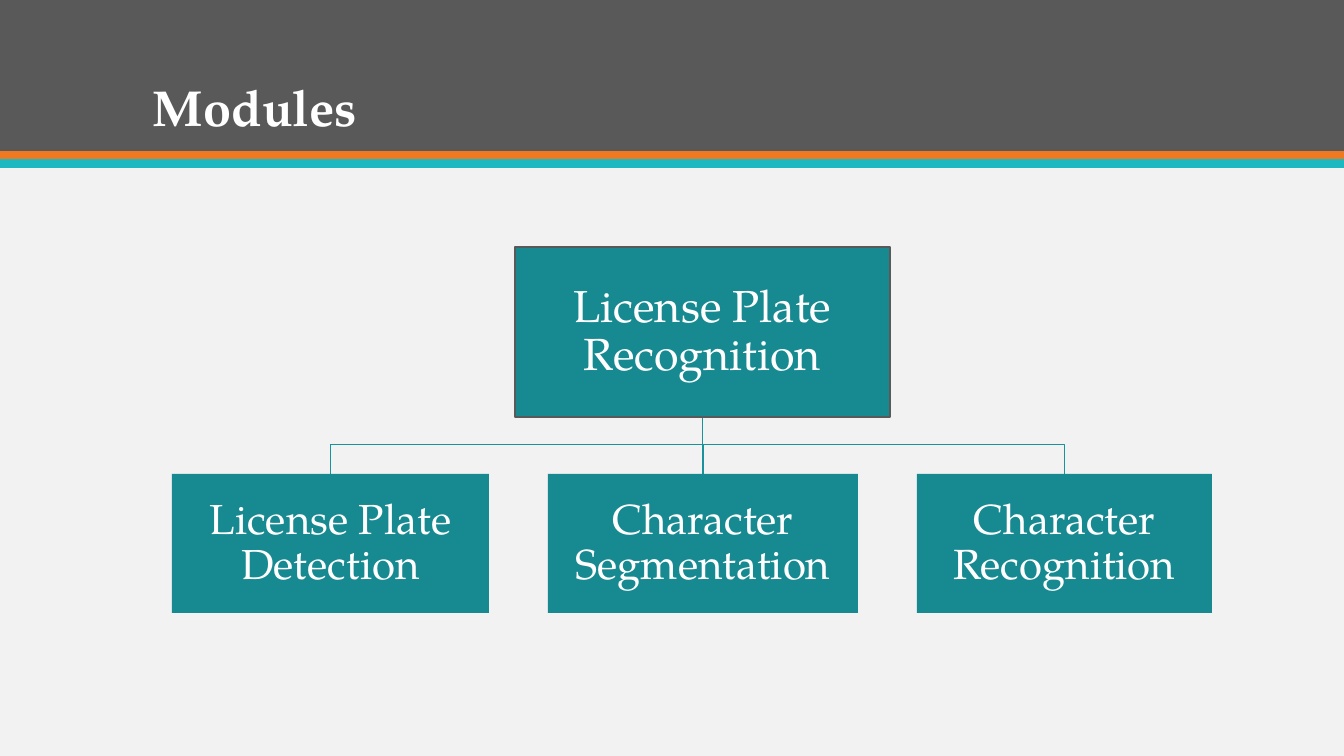
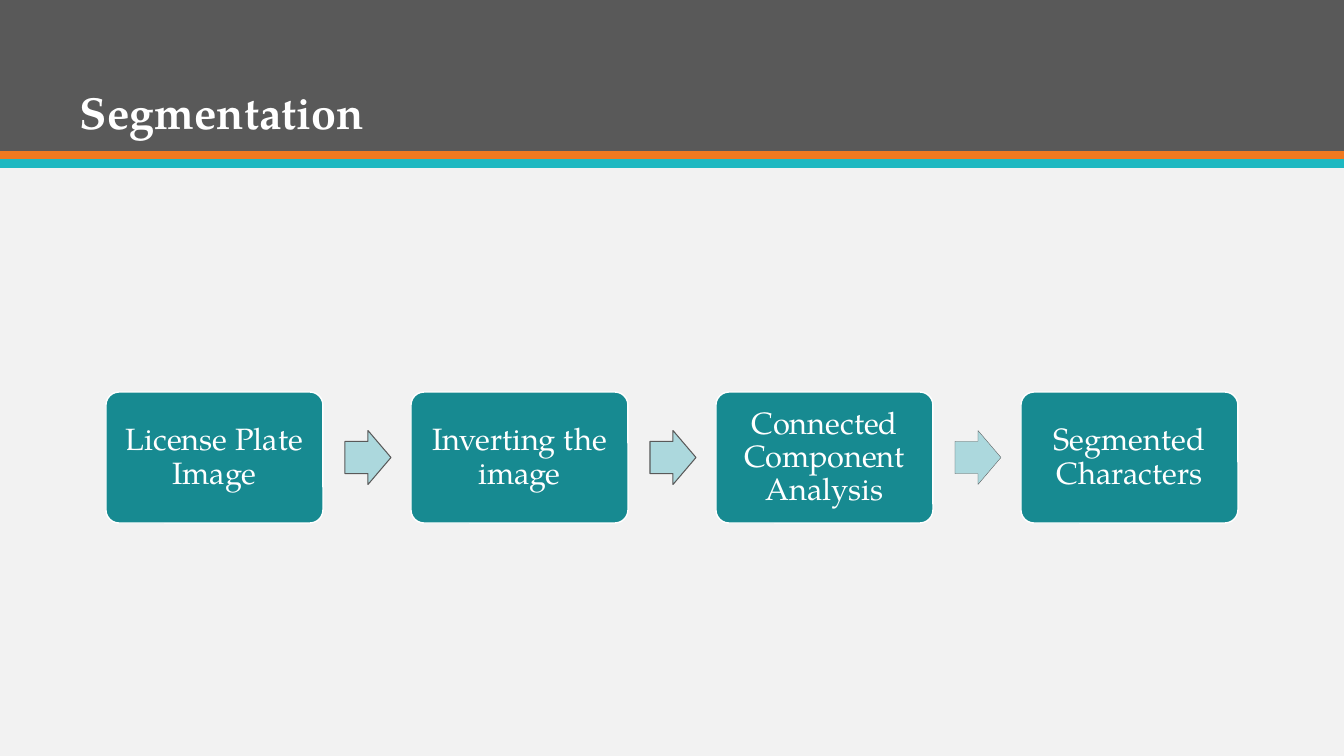
"""Build two slides: the module tree and the segmentation flow."""
import pptx
import pptx.dml.color
import pptx.enum.shapes
import pptx.enum.text
import pptx.util

SHAPES = pptx.enum.shapes.MSO_SHAPE
ANCHOR = pptx.enum.text.MSO_ANCHOR
ALIGN = pptx.enum.text.PP_ALIGN

WIDTH, HEIGHT = 1344, 756
EMU_PER_PX = 12192000 / WIDTH
FONT = "TeX Gyre Pagella"
GREY, ORANGE, CYAN = "595959", "EF7920", "1EB8C1"
TEAL, LINE_TEAL, PALE_TEAL = "178A91", "18939B", "ACD8DD"
WHITE, PAPER = "FFFFFF", "F2F2F2"

BANDS = [(0, 151, GREY), (151, 9, ORANGE), (159, 9, CYAN)]

ROOT = ("License Plate Recognition", (515, 247, 375, 170))
MODULES = [
    ("License Plate Detection", 317),
    ("Character Segmentation", 310),
    ("Character Recognition", 295),
]
MODULE_LEFT, MODULE_TOP, MODULE_HEIGHT, MODULE_GAP = 172, 474, 139, 59

STEPS = [
    "License Plate Image",
    "Inverting the image",
    "Connected Component Analysis",
    "Segmented Characters",
]
STEP_LEFT, STEP_TOP, STEP_WIDTH, STEP_HEIGHT, STEP_PITCH = 106, 392, 217, 131, 305
ARROW_OFFSET, ARROW_WIDTH, ARROW_HEIGHT = 239, 46, 54
ARROW_LINES = [0.75, 0.75, 0.25]


def px(value):
    return pptx.util.Emu(round(value * EMU_PER_PX))


def rgb(value):
    return pptx.dml.color.RGBColor.from_string(value)


def add_box(slide, kind, box, fill, line=None, line_width=1):
    shape = slide.shapes.add_shape(kind, *map(px, box))
    shape.shadow.inherit = False
    shape.fill.solid()
    shape.fill.fore_color.rgb = rgb(fill)
    if line:
        shape.line.color.rgb = rgb(line)
        shape.line.width = pptx.util.Pt(line_width)
    else:
        shape.line.fill.background()
    return shape


def set_text(shape, text, size, align, anchor, inset=None, bold=False):
    frame = shape.text_frame
    frame.word_wrap = True
    frame.vertical_anchor = anchor
    if inset is not None:
        frame.margin_left = frame.margin_right = px(inset)
        frame.margin_top = frame.margin_bottom = px(inset)
    paragraph = frame.paragraphs[0]
    paragraph.text = text
    paragraph.alignment = align
    paragraph.line_spacing = 0.9
    paragraph.font.name = FONT
    paragraph.font.size = pptx.util.Pt(size)
    paragraph.font.bold = bold
    paragraph.font.color.rgb = rgb(WHITE)


def add_label(shape, text, size, inset):
    set_text(shape, text, size, ALIGN.CENTER, ANCHOR.MIDDLE, inset)


def add_branch(slide, points):
    start, *rest = [(px(x), px(y)) for x, y in points]
    builder = slide.shapes.build_freeform(*start)
    builder.add_line_segments(rest, close=False)
    branch = builder.convert_to_shape()
    branch.shadow.inherit = False
    branch.fill.background()
    branch.line.color.rgb = rgb(LINE_TEAL)
    branch.line.width = pptx.util.Pt(1)


def add_slide(presentation, title, left, top, size):
    slide = presentation.slides.add_slide(presentation.slide_layouts[6])
    slide.background.fill.solid()
    slide.background.fill.fore_color.rgb = rgb(PAPER)
    for band_top, height, colour in BANDS:
        add_box(slide, SHAPES.RECTANGLE, (0, band_top, WIDTH, height), colour)
    title_box = slide.shapes.add_textbox(*map(px, (left, top, 1058, 114)))
    set_text(title_box, title, size, ALIGN.LEFT, ANCHOR.BOTTOM, bold=True)
    return slide


def add_module_tree(slide):
    text, root_box = ROOT
    left, top, width, height = root_box
    root_centre, root_bottom = left + width / 2, top + height
    bar_y = (root_bottom + MODULE_TOP) / 2 - 1
    boxes = []
    module_left = MODULE_LEFT
    for _, module_width in MODULES:
        boxes.append((module_left, MODULE_TOP, module_width, MODULE_HEIGHT))
        module_left += module_width + MODULE_GAP

    for box in reversed(boxes):
        centre = box[0] + box[2] / 2
        add_branch(slide, [(root_centre, root_bottom), (root_centre, bar_y),
                           (centre, bar_y), (centre, MODULE_TOP)])
    root = add_box(slide, SHAPES.RECTANGLE, root_box, TEAL, GREY)
    add_label(root, text, 32, 2)
    for (name, _), box in zip(MODULES, boxes):
        add_label(add_box(slide, SHAPES.RECTANGLE, box, TEAL), name, 30, 2)


def add_step_flow(slide):
    arrow_top = STEP_TOP + (STEP_HEIGHT - ARROW_HEIGHT) / 2
    for index, text in enumerate(STEPS):
        left = STEP_LEFT + index * STEP_PITCH
        step = add_box(slide, SHAPES.ROUNDED_RECTANGLE,
                       (left, STEP_TOP, STEP_WIDTH, STEP_HEIGHT), TEAL, WHITE)
        step.adjustments[0] = 0.1
        add_label(step, text, 22, 9)
        if index < len(ARROW_LINES):
            arrow = add_box(slide, SHAPES.RIGHT_ARROW,
                            (left + ARROW_OFFSET, arrow_top, ARROW_WIDTH, ARROW_HEIGHT),
                            PALE_TEAL, GREY, ARROW_LINES[index])
            arrow.adjustments[0] = 0.6
            arrow.adjustments[1] = 0.5


def main():
    presentation = pptx.Presentation()
    presentation.slide_width, presentation.slide_height = px(WIDTH), px(HEIGHT)
    add_module_tree(add_slide(presentation, "Modules", 143, 28, 36))
    add_step_flow(add_slide(presentation, "Segmentation", 70, 30, 32))
    presentation.save("out.pptx")


if __name__ == "__main__":
    main()
